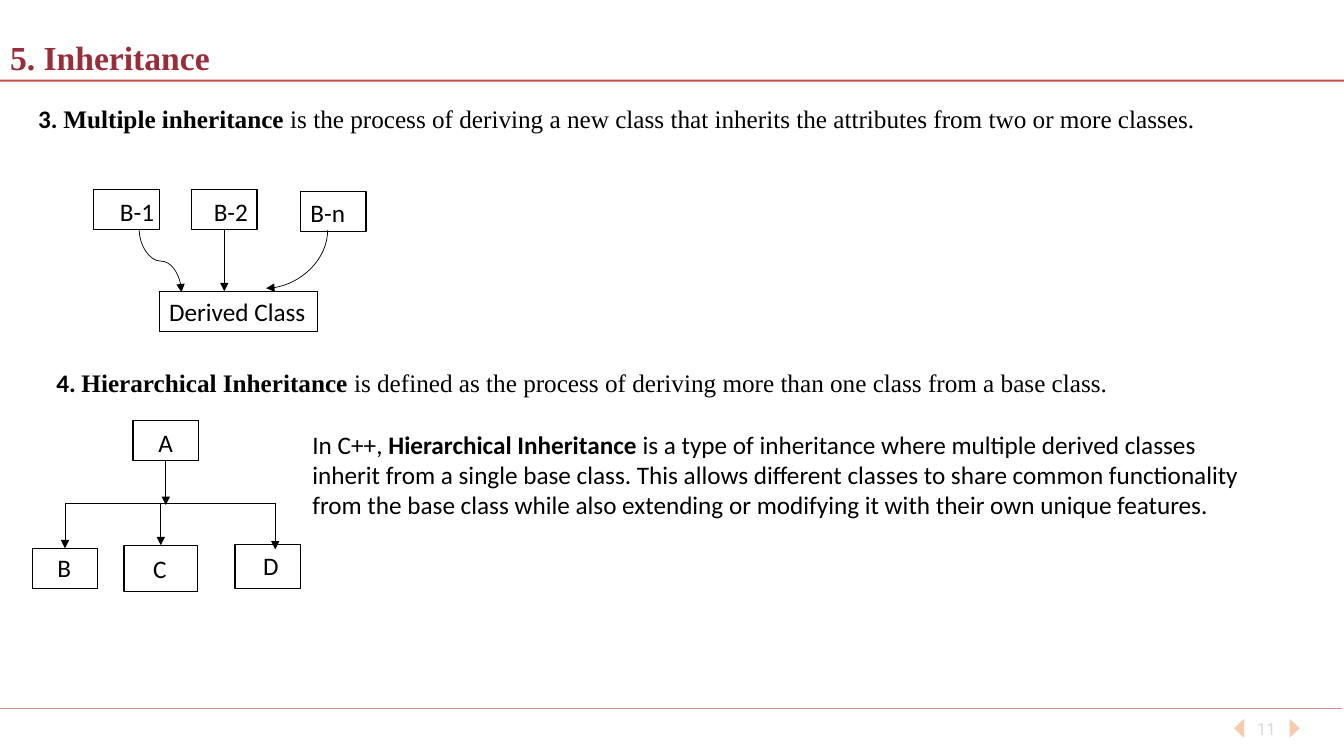
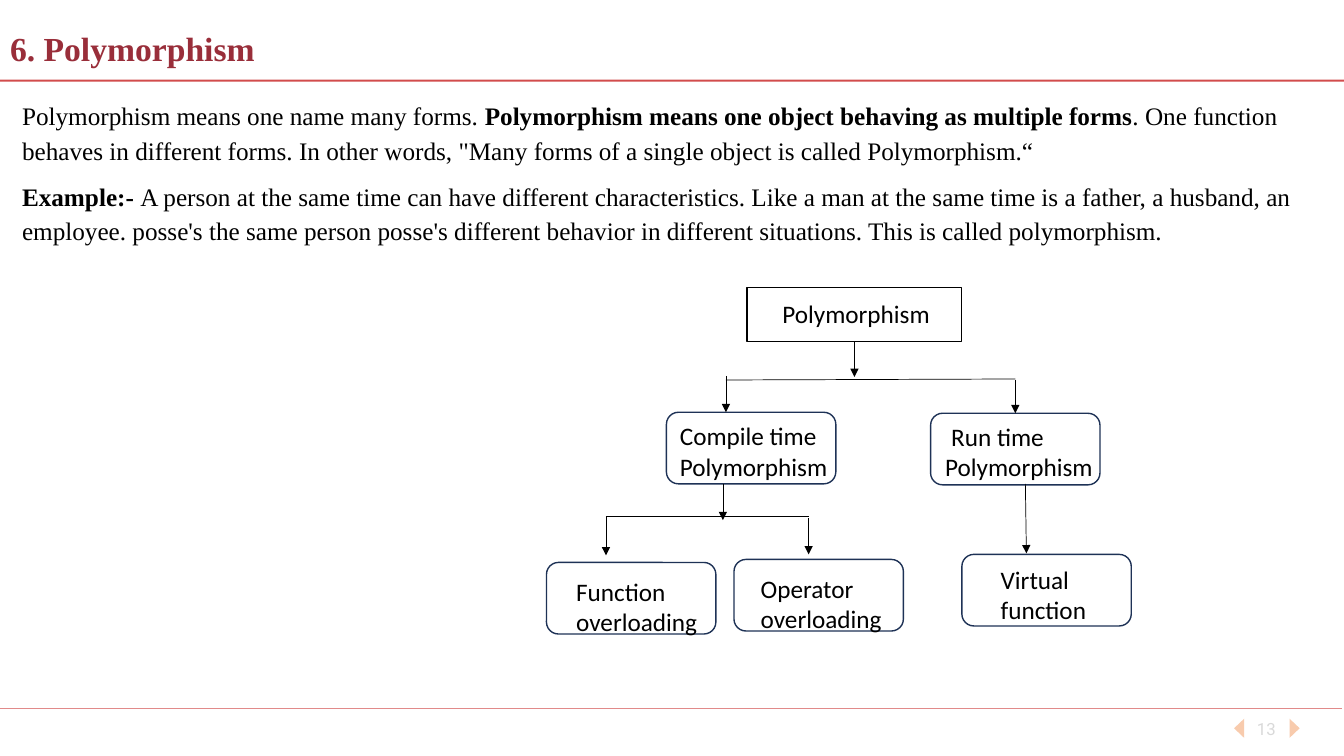
import dataclasses
import typing

import pptx
import pptx.dml.color
import pptx.enum.shapes
import pptx.enum.text
import pptx.oxml
import pptx.oxml.ns
import pptx.util

SHAPE = pptx.enum.shapes.MSO_SHAPE
LINK = pptx.enum.shapes.MSO_CONNECTOR
ANCHOR = pptx.enum.text.MSO_ANCHOR
ALIGN = pptx.enum.text.PP_ALIGN

WIDE, HIGH = pptx.util.Inches(13.33), pptx.util.Inches(7.5)
ROWS = 75
CELL = HIGH / ROWS  # square grid cell
COLS = WIDE / CELL
HUES = {"title": "992E3A", "rule": "C00000", "nav": "F8CBAD", "page": "D9D9D9",
        "ink": "000000", "navy": "1E3256"}
SANS, SERIF, PAGE = "Calibri", "Times New Roman", "Roboto"


def hue(name):
    return pptx.dml.color.RGBColor.from_string(HUES[name])


def span(cells):
    return pptx.util.Emu(round(cells * CELL))


def style(para, face, size, tone="ink", bold=False):
    para.font.name, para.font.size, para.font.bold = face, pptx.util.Pt(size), bold
    para.font.color.rgb = hue(tone)


def node(tag, **attrs):
    item = pptx.oxml.parse_xml(f"<a:{tag} {pptx.oxml.ns.nsdecls('a')}/>")
    for key, value in attrs.items():
        item.set(key, value)
    return item


@dataclasses.dataclass
class Area:
    """A region of a slide; its parts are placed in cells from its corner."""
    slide: typing.Any
    left: float = 0
    top: float = 0

    def spot(self, x, y):
        return span(self.left + x), span(self.top + y)

    def text(self, box, paras, face, size=18, tone="ink"):
        """Each paragraph is a list of (words, bold) or (words, bold, face)."""
        x, y, w, h = box
        field = self.slide.shapes.add_textbox(*self.spot(x, y), span(w), span(h))
        frame = field.text_frame
        frame.word_wrap = True
        for i, parts in enumerate(paras):
            para = frame.add_paragraph() if i else frame.paragraphs[0]
            style(para, face, size, tone)
            for words, bold, *other in parts:
                run = para.add_run()
                run.text, run.font.bold = words, bold
                if other:
                    run.font.name = other[0]
        return frame

    def box(self, box, words, pad, kind=SHAPE.RECTANGLE, tone="ink", first=0):
        x, y, w, h = box
        shape = self.slide.shapes.add_shape(kind, *self.spot(x, y), span(w), span(h))
        shape.shadow.inherit = False
        shape.fill.background()
        shape.line.color.rgb, shape.line.width = hue(tone), pptx.util.Pt(1)
        frame = shape.text_frame
        frame.word_wrap, frame.vertical_anchor = True, ANCHOR.TOP
        frame.margin_left, frame.margin_top = span(pad[0]), span(pad[1])
        frame.margin_right = frame.margin_bottom = 0
        frame.text = words
        for para in frame.paragraphs:
            style(para, SANS, 18)
            para.alignment = ALIGN.LEFT
        if first:
            frame.paragraphs[0]._p.get_or_add_pPr().set("indent", str(span(first)))
        return shape

    def line(self, start, end, arrow=True, width=0.5, tone="ink", kind=LINK.STRAIGHT, alpha=None):
        """Ends are points, or shapes joined at bottom (start) or top (end)."""
        def point(item, low):
            if isinstance(item, tuple):
                return self.spot(*item)
            return item.left + item.width // 2, item.top + item.height * low

        link = self.slide.shapes.add_connector(kind, *point(start, 1), *point(end, 0))
        if not isinstance(start, tuple):
            link.begin_connect(start, 2)
        if not isinstance(end, tuple):
            link.end_connect(end, 0)
        link.line.width, link.line.color.rgb = pptx.util.Pt(width), hue(tone)
        props = link._element.spPr
        outline = link.line._get_or_add_ln()
        if arrow:
            outline.append(node("tailEnd", type="triangle"))
        if alpha:
            outline.find(".//" + pptx.oxml.ns.qn("a:srgbClr")).append(
                node("alpha", val=str(alpha * 1000)))
        props.append(node("effectLst"))
        return link

    def curve(self, start, end):
        """Curved arrow leaving downwards: S-shaped to the right, an arc to the left."""
        (x1, y1), (x2, y2) = start, end
        mid_x, mid_y = (x1 + x2) / 2, (y1 + y2) / 2
        half_w, half_h = (y2 - y1) / 2, abs(x2 - x1) / 2
        flip = 1 if x2 > x1 else -1
        link = self.line((mid_x + flip * half_w, mid_y - half_h),
                         (mid_x - flip * half_w, mid_y + half_h), kind=LINK.CURVE)
        link.rotation = 270 if x2 > x1 else 90
        if x2 < x1:
            link._element.spPr.find(pptx.oxml.ns.qn("a:prstGeom")).set("prst", "curvedConnector2")


def base(deck, title, top, page):
    """Title, rules and page marker shared by all slides."""
    slide = deck.slides.add_slide(deck.slide_layouts[5])
    area = Area(slide)
    # Footer
    frame = area.text((122.8, 70.3, 5.6, 4), [[(page, False)]], PAGE, 12, "page")
    frame.vertical_anchor = ANCHOR.MIDDLE
    frame.paragraphs[0].alignment = ALIGN.CENTER
    for edge, tip in ((127.9, 128.9), (123.4, 122.4)):
        path = slide.shapes.build_freeform(*area.spot(edge, 71.3))
        path.add_line_segments([area.spot(tip, 72.25), area.spot(edge, 73.2)])
        mark = path.convert_to_shape()
        mark.shadow.inherit = False
        mark.fill.solid()
        mark.fill.fore_color.rgb = hue("nav")
        mark.line.fill.background()
    # Rules
    for y, end, width in ((70.3, 133.1, 0.5), (8, COLS, 1.5)):
        area.line((0, y), (end, y), False, width, "rule", alpha=70)
    # Title
    head = slide.shapes.title
    head.left, head.top, head.width, head.height = 0, span(top), span(121.8), span(5.8)
    head.text_frame.text = title
    head.text_frame.vertical_anchor = ANCHOR.MIDDLE
    para = head.text_frame.paragraphs[0]
    para.alignment, para.line_spacing = ALIGN.LEFT, 0.9
    style(para, SERIF, 24, "title", True)
    return slide


def multiple(area):
    area.text((2.8, 0.8, 125.8, 7.1), [[
        ("3. ", True, SANS), ("Multiple inheritance", True),
        (" is the process of deriving a new class that inherits the attributes "
         "from two or more classes.", False)]], SERIF)
    area.box((9.3, 9.8, 6.5, 4), "B-1", (2.6, 0.7))
    second = area.box((19, 9.8, 6.5, 4), "B-2", (2.2, 0.7))
    area.box((29.8, 10, 6.5, 4), "B-n", (1, 0.6))
    area.box((15.8, 19.9, 15.7, 4), "Derived Class", (1, 0.5))
    area.line(second, (22.25, 19.9))
    area.curve((13.8, 13.8), (18, 20))
    area.curve((32.5, 13.8), (26.4, 19.6))


def ranked(area):
    area.text((4.6, 0.9, 115.9, 4), [[
        ("4. ", True, SANS), ("Hierarchical Inheritance ", True),
        ("is defined as the process of deriving more than one class "
         "from a base class.", False)]], SERIF)
    area.text((30, 7.1, 95, 10.1), [[
        ("In C++, ", False), ("Hierarchical Inheritance ", True),
        ("is a type of inheritance where multiple derived classes inherit from a single "
         "base class. This allows different classes to share common functionality from the "
         "base class while also extending or modifying it with their own unique features.",
         False)]], SANS)
    root = area.box((13.2, 6.7, 6.5, 4), "A", (2.5, 0.7))
    left = area.box((3.2, 19.4, 6.5, 4), "B", (2.5, 0.4))
    mid = area.box((12.3, 19.1, 7.3, 4.6), "C", (2.9, 0.8))
    area.box((23.3, 19, 6.5, 4.4), "D", (2.8, 0.6))
    bar = 14.9
    area.line((6.45, bar), (27.3, bar), False)
    area.line(root, (16.45, bar + 0.2))
    for x, end in ((6.45, left), (15.95, mid), (27.3, (27.3, 19.5))):
        area.line((x, bar), end)


def notes(area):
    frame = area.text((1.2, 0, 132.1, 20.7), [
        [("Polymorphism means one name many forms. ", False),
         ("Polymorphism means one object behaving as multiple forms", True),
         (". One function behaves in different forms. In other words, "
          "\"Many forms of a single object is called Polymorphism.“", False)],
        [("Example:- ", True),
         ("A person at the same time can have different characteristics. Like a man at the "
          "same time is a father, a husband, an employee. posse's the same person posse's "
          "different behavior in different situations. This is called polymorphism.", False)],
    ], SERIF)
    for para in frame.paragraphs:
        para.line_spacing, para.space_after = 1.15, pptx.util.Pt(8)


def tree(area):
    def leaf(x, y, words, pad, first=0):
        return area.box((x, y, 16.8, 7.1), words, pad, SHAPE.ROUNDED_RECTANGLE, "navy", first)

    root = area.box((20.1, 0.5, 21.3, 5.4), "Polymorphism", (3.5, 1.1))
    leaf(12.1, 12.9, "Compile time\nPolymorphism", (1, 0.5))
    late = leaf(38.3, 13, "Run time\nPolymorphism", (1.1, 0.4), 0.6)
    leaf(0.2, 27.8, "Function\noverloading", (2.6, 1))
    leaf(18.8, 27.5, "Operator\noverloading", (2.3, 1))
    leaf(41.4, 27, "Virtual\nfunction", (3.5, 0.6))
    # Bars
    area.line((18, 9.7), (46.7, 9.6), False)
    area.line((6.1, 23.2), (26.2, 23.2), False)
    # Arrows
    for start, end in ((root, (30.75, 9.4)), ((18, 9.3), (18, 12.9)), ((46.7, 9.7), late),
                       ((17.7, 20), (17.7, 23.6)), ((6.1, 23.2), (6.1, 27.1)),
                       ((26.2, 23.4), (26.2, 27)), ((47.7, 20), (47.8, 26.9))):
        area.line(start, end)


def main():
    deck = pptx.Presentation()
    deck.slide_width, deck.slide_height = WIDE, HIGH
    slide = base(deck, "5. Inheritance", 3, "11")
    multiple(Area(slide, 0, 9))
    ranked(Area(slide, 0, 35))
    slide = base(deck, "6. Polymorphism", 2.1, "13")
    notes(Area(slide, 0, 9))
    tree(Area(slide, 54, 28))
    deck.save("out.pptx")


if __name__ == "__main__":
    main()
